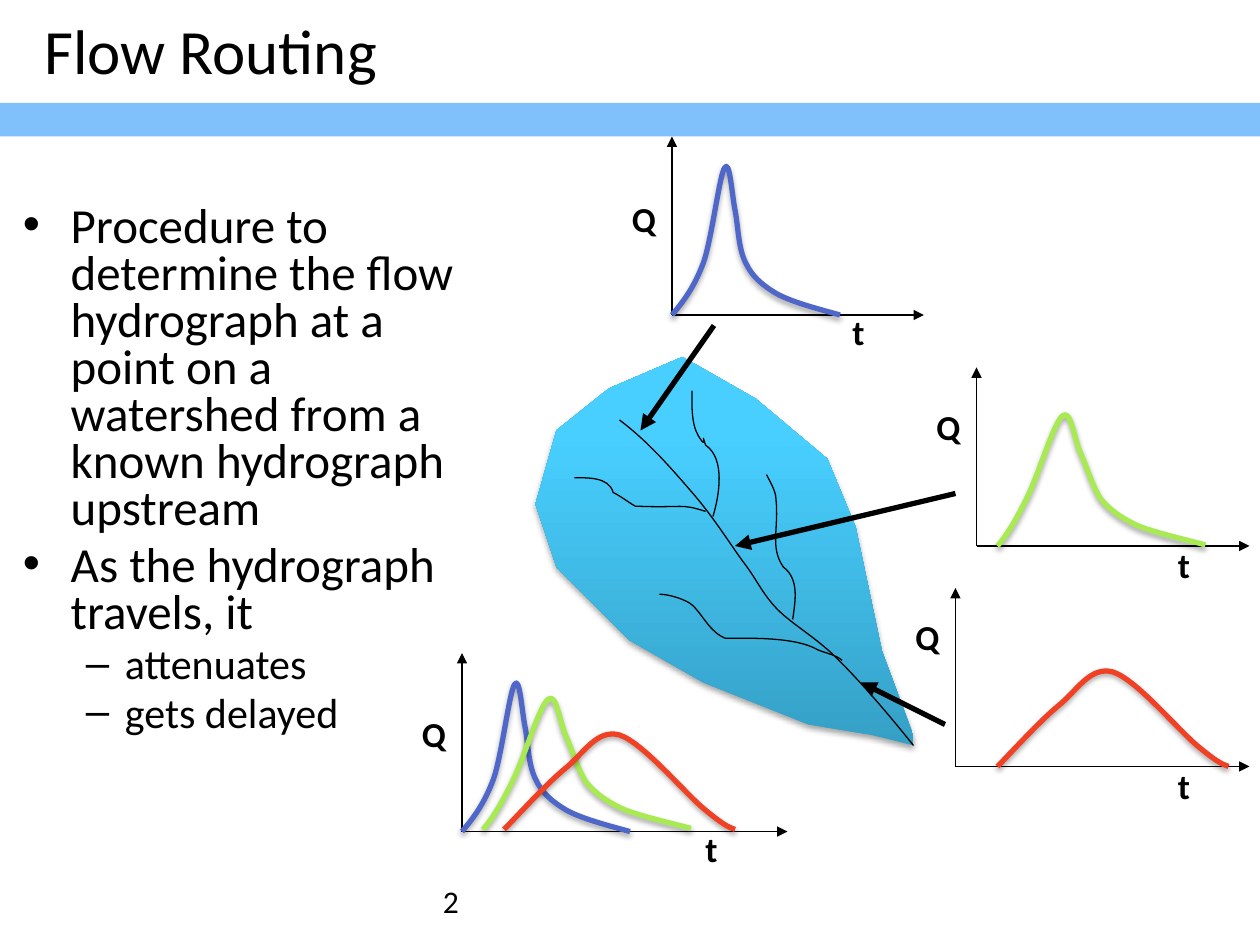
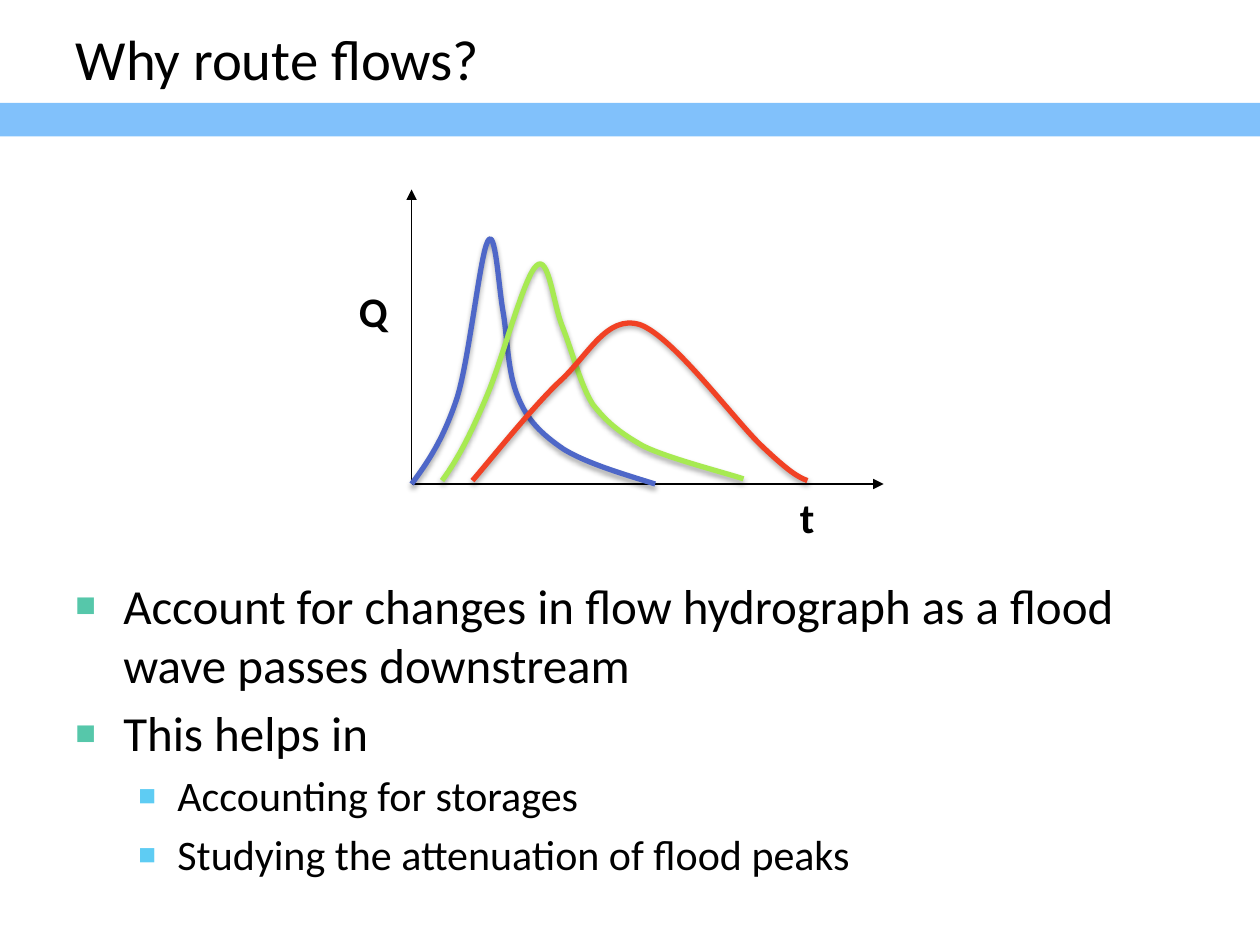
"""Builds two slides that explain how flow routing changes a hydrograph."""
from dataclasses import dataclass

from lxml.etree import SubElement
from pptx import Presentation
from pptx.dml.color import RGBColor
from pptx.enum.shapes import MSO_CONNECTOR, MSO_SHAPE
from pptx.enum.text import MSO_ANCHOR, MSO_AUTO_SIZE, PP_ALIGN
from pptx.oxml.ns import qn
from pptx.util import Inches, Pt


@dataclass(frozen=True)
class Theme:
    """Colours, font and type sizes in one place."""
    font: str = "Calibri"
    ink: str = "000000"
    band: str = "81C1FB"
    upstream: str = "4E67C8"
    midway: str = "A7EA52"
    outlet: str = "F14124"
    land_low: str = "35A0C6"
    land_high: str = "48CFFF"
    square: str = "56C7AA"
    subsquare: str = "5ECCF3"
    title: float = 36
    title_small: float = 32.4
    body: tuple = (28, 24)
    label: float = 20
    label_large: float = 24
    page: float = 18
    thin: float = 0.75
    thick: float = 3


THEME = Theme()
COLUMNS, ROWS = 120, 90
INDENTS = ((0.38, -0.38), (0.81, -0.31))
ROUND_BULLETS = (("•", None), ("–", None))
SQUARE_BULLETS = (("■", THEME.square), ("■", THEME.subsquare))

UPSTREAM = THEME.upstream, [
    (0, 0), (1.1, 1.3), (2.1, 2.6), (3, 5), (3.8, 7.3), (4.5, 13.2), (5, 14),
    (5.5, 14.9), (5.7, 11.5), (6, 10), (6.3, 8.5), (6.3, 6.4), (7, 5),
    (7.6, 3.7), (8.5, 2.9), (10, 2), (11.5, 1.2), (13.8, 0.6), (16, 0)]
MIDWAY = THEME.midway, [
    (0, 0), (1.1, 1.3), (2, 2.9), (3, 5), (4, 7.1), (5.4, 11.8), (6.2, 12.4),
    (7, 13.1), (7.3, 10.2), (7.9, 8.9), (8.5, 7.6), (9.1, 5.5), (9.9, 4.4),
    (10.8, 3.4), (11.6, 2.8), (13.2, 2), (14.8, 1.3), (18.4, 0.5), (19.8, 0.1)]
OUTLET = THEME.outlet, [
    (0, 0), (1, 1), (3.9, 4.2), (5.7, 5.7), (7.6, 7.2), (8.8, 9.6), (11, 9),
    (13.2, 8.3), (17.2, 3.5), (19, 2), (20.8, 0.5), (21.4, 0.2), (22, 0)]
ALL_FLOWS = [(UPSTREAM, 0, 0), (MIDWAY, 2, 0.2), (OUTLET, 4, 0.2)]

WATERSHED = [
    (77, 69), (67, 65), (60, 61), (53, 54), (51, 48), (53, 41), (58, 37), (65, 34),
    (72, 38), (78.8, 43.7), (81.5, 50.2), (84, 62), (87, 70), (87, 71), (83, 70)]
STREAMS = [
    [(87, 71), (84.6, 68), (82.2, 65.2), (80, 63), (77.9, 60.8), (75.6, 59.6),
     (74, 58), (72.5, 56.4), (72.1, 55.2), (70.7, 53.4), (69.4, 51.6),
     (67.9, 49.2), (66, 47), (64.1, 44.8), (61.8, 42.1), (59, 40)],
    [(80.2, 62.9), (79.7, 62.4), (78.6, 62.2), (77.9, 61.9), (75.7, 60.6),
     (71, 60.8), (69.1, 60.8), (67.6, 60.2), (67.1, 58.8), (66, 57.7),
     (65.4, 57.1), (63.7, 56.6), (62.8, 56.6)],
    [(75.5, 59), (75.7, 57.4), (76.2, 55.2), (74.6, 54), (73.3, 52.1),
     (74.2, 50.4), (73.9, 47.5), (73.9, 46.8), (73.3, 45.8), (73, 45.2)],
    [(67.2, 48.7), (64.7, 47.9), (65.3, 48.4), (60.5, 48.2), (59.8, 47.8),
     (59.2, 47.3), (58.4, 46.9), (58, 45.4), (55.9, 45.5), (54.7, 45.5)],
    [(67.9, 49.2), (68.5, 47.2), (69.1, 43.7), (67.2, 42.4), (66.6, 40.6),
     (67.6, 43.3), (66.5, 41.5), (65.8, 40.3), (65.9, 38.4), (65.9, 37.2)]]
POINTERS = [((68, 31), (61, 41)), ((91, 47), (70, 52)), ((90, 69), (82, 65))]


def assign(target, values):
    for name, value in values.items():
        setattr(target, name, value)


def rgb(colour):
    return RGBColor.from_string(colour)


class Deck:
    """Holds the theme and the current slide, and draws on a 120 by 90 grid."""

    def __init__(self, theme):
        self.theme = theme
        self.deck = Presentation()
        assign(self.deck, {"slide_width": Inches(10), "slide_height": Inches(7.5)})
        self.slide = None

    def spot(self, column, row):
        return (round(self.deck.slide_width * column / COLUMNS),
                round(self.deck.slide_height * row / ROWS))

    def new_slide(self, title, place, size):
        self.slide = self.deck.slides.add_slide(self.deck.slide_layouts[5])
        band = self.slide.shapes.add_shape(
            MSO_SHAPE.RECTANGLE, *self.spot(0, 9.8), *self.spot(COLUMNS, 3.2))
        band.fill.solid()
        band.fill.fore_color.rgb = rgb(self.theme.band)
        band.line.fill.background()
        band.shadow.inherit = False
        heading = self.slide.shapes.title
        (left, top), (width, height) = self.spot(*place[:2]), self.spot(*place[2:])
        assign(heading, {"left": left, "top": top, "width": width, "height": height})
        assign(heading.text_frame, {"text": title, "auto_size": MSO_AUTO_SIZE.NONE,
                                    "vertical_anchor": MSO_ANCHOR.MIDDLE})
        paragraph = heading.text_frame.paragraphs[0]
        paragraph.alignment = PP_ALIGN.LEFT
        self.type(paragraph, size)

    def type(self, paragraph, size, bold=False):
        for run in paragraph.runs:
            assign(run.font, {"name": self.theme.font, "size": Pt(size), "bold": bold})
            run.font.color.rgb = rgb(self.theme.ink)

    def frame(self, place):
        box = self.slide.shapes.add_textbox(*self.spot(*place[:2]), *self.spot(*place[2:]))
        box.text_frame.word_wrap = True
        return box.text_frame

    def text(self, words, place, size, bold=False):
        frame = self.frame(place)
        frame.text = words
        self.type(frame.paragraphs[0], size, bold)

    def bullets(self, items, place, markers, spacing=1.0):
        frame = self.frame(place)
        for index, (level, words) in enumerate(items):
            paragraph = frame.add_paragraph() if index else frame.paragraphs[0]
            self.marker(paragraph, level, *markers[level])
            size = self.theme.body[level]
            assign(paragraph, {"text": words, "level": level, "line_spacing": spacing,
                               "space_before": Pt(0.2 * size if index else 0)})
            self.type(paragraph, size)

    def marker(self, paragraph, level, sign, colour):
        properties = paragraph._p.get_or_add_pPr()
        for name, inches in zip(("marL", "indent"), INDENTS[level]):
            properties.set(name, str(Inches(inches)))
        if colour:
            SubElement(SubElement(properties, qn("a:buClr")), qn("a:srgbClr"), val=colour)
            SubElement(properties, qn("a:buSzPct"), val="70000")
        SubElement(properties, qn("a:buFont"), typeface="Arial")
        SubElement(properties, qn("a:buChar"), char=sign)

    def stroke(self, item, colour, width):
        item.line.color.rgb = rgb(colour)
        item.line.width = Pt(width)

    def effects(self, item, shadow=False):
        effects = SubElement(item._element.spPr, qn("a:effectLst"))
        if shadow:
            cast = SubElement(effects, qn("a:outerShdw"), blurRad="40000", dist="23000",
                              dir="5400000", rotWithShape="0")
            shade = SubElement(cast, qn("a:srgbClr"), val=self.theme.ink)
            SubElement(shade, qn("a:alpha"), val="35000")

    def arrow(self, start, end, width):
        arrow = self.slide.shapes.add_connector(
            MSO_CONNECTOR.STRAIGHT, *self.spot(*start), *self.spot(*end))
        self.stroke(arrow, self.theme.ink, width)
        SubElement(arrow._element.spPr.get_or_add_ln(), qn("a:tailEnd"), type="triangle")
        self.effects(arrow)

    def outline(self, points, close):
        first, *rest = [self.spot(*point) for point in points]
        builder = self.slide.shapes.build_freeform(*first)
        builder.add_line_segments(rest, close=close)
        return builder.convert_to_shape()

    def curve(self, points, colour, width, shadow=False):
        curve = self.outline(points, close=False)
        track = curve._element.find(".//" + qn("a:path"))
        segments = track.findall(qn("a:lnTo"))
        for index in range(0, len(segments), 3):
            bend = SubElement(track, qn("a:cubicBezTo"))
            for segment in segments[index:index + 3]:
                bend.append(segment[0])
                track.remove(segment)
        curve.fill.background()
        self.stroke(curve, colour, width)
        self.effects(curve, shadow)

    def watershed(self):
        land = self.outline(WATERSHED, close=True)
        land.fill.gradient()
        land.fill.gradient_angle = 90
        shades = (self.theme.land_low, 0), (self.theme.land_high, 0.8)
        for stop, (colour, position) in zip(land.fill.gradient_stops, shades):
            stop.color.rgb = rgb(colour)
            stop.position = position
        land.line.fill.background()
        self.effects(land, shadow=True)
        for stream in STREAMS:
            self.curve(stream, self.theme.ink, self.theme.thin)

    def hydrograph(self, origin, run, flows, flow_label, time_label,
                   scale=(1, 1), label_size=THEME.label):
        def place(across, up):
            return origin[0] + across * scale[0], origin[1] - up * scale[1]

        for tip in ((0, 17), (run, 0)):
            self.arrow(origin, place(*tip), self.theme.thin)
        for (colour, points), delay, lift in flows:
            self.curve([place(x + delay, y + lift) for x, y in points],
                       colour, self.theme.thick, shadow=True)
        side = label_size / 5
        for name, (across, down) in (("Q", flow_label), ("t", time_label)):
            self.text(name, (origin[0] + across, origin[1] + down, side, side + 1.3),
                      label_size, bold=True)


def flow_routing(deck):
    deck.new_slide("Flow Routing", (3, 0.8, 115, 7.7), THEME.title)
    deck.bullets([
        (0, "Procedure to determine the flow hydrograph at a point on a watershed "
            "from a known hydrograph upstream"),
        (0, "As the hydrograph travels, it"),
        (1, "attenuates"),
        (1, "gets delayed")], (1, 19, 47, 57), ROUND_BULLETS, spacing=0.8)
    deck.watershed()
    deck.hydrograph((64, 30), 24, [(UPSTREAM, 0, 0)], (-5, -11.8), (16, -1))
    deck.hydrograph((93, 52), 26, [(MIDWAY, 2, 0)], (-5, -14), (18, -0.8))
    deck.hydrograph((91, 73), 28, [(OUTLET, 4, 0)], (-5, -15), (20, -0.8))
    deck.hydrograph((44, 79.2), 31, ALL_FLOWS, (-5, -11.9), (22, -1))
    for start, end in POINTERS:
        deck.arrow(start, end, THEME.thick)
    deck.text("2", (41, 83.4, 38, 4.8), THEME.page)


def why_route_flows(deck):
    deck.new_slide("Why route flows?", (6, 2, 108, 7), THEME.title_small)
    deck.hydrograph((39.2, 46.1), 31, ALL_FLOWS, (-6.2, -19.5), (35.8, 0.1),
                    scale=(1.45, 1.65), label_size=THEME.label_large)
    deck.bullets([
        (0, "Account for changes in flow hydrograph as a flood wave passes downstream"),
        (0, "This helps in"),
        (1, "Accounting for storages"),
        (1, "Studying the attenuation of flood peaks")],
        (6, 54.2, 110, 31), SQUARE_BULLETS)


def main():
    deck = Deck(THEME)
    flow_routing(deck)
    why_route_flows(deck)
    deck.deck.save("out.pptx")


if __name__ == "__main__":
    main()
